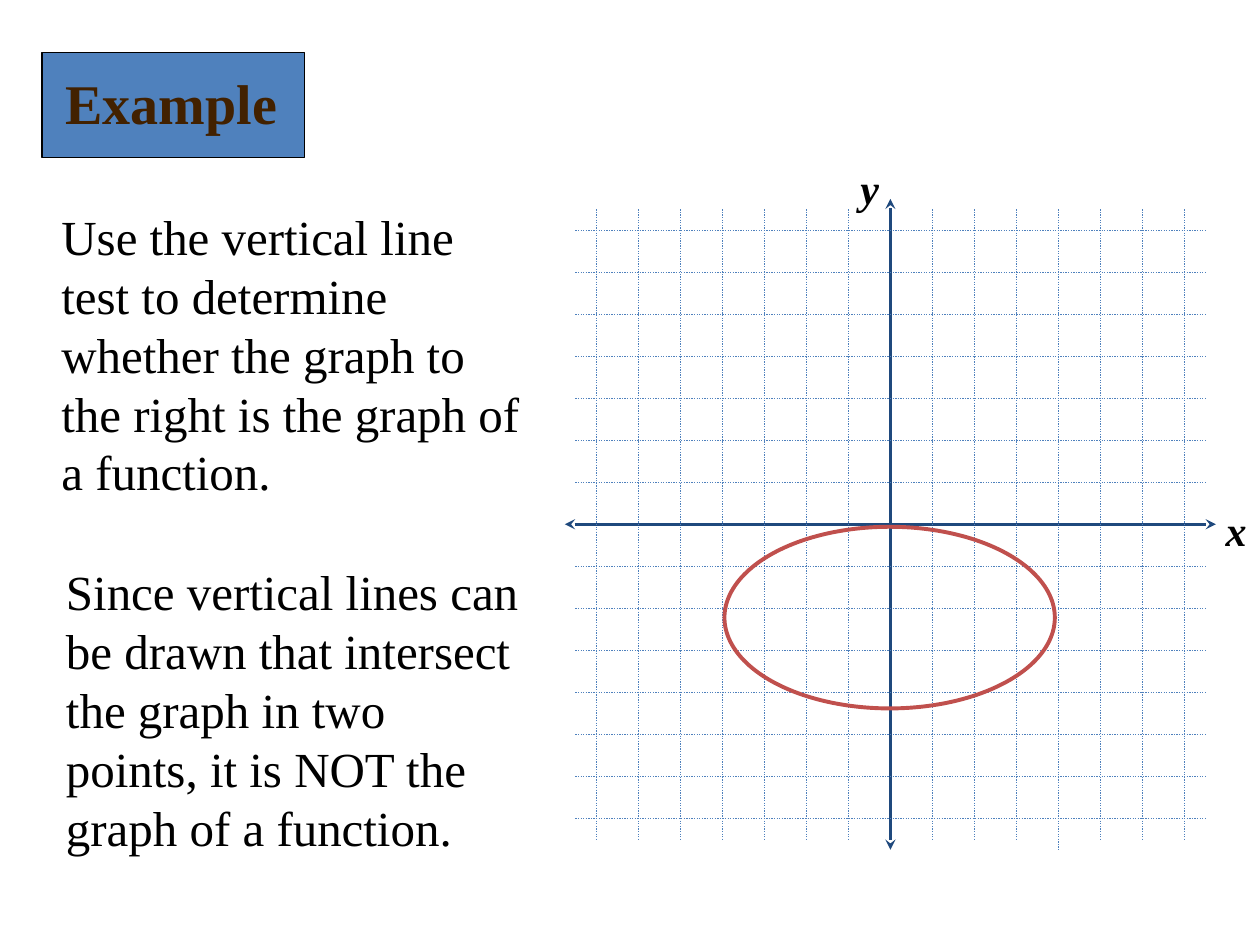
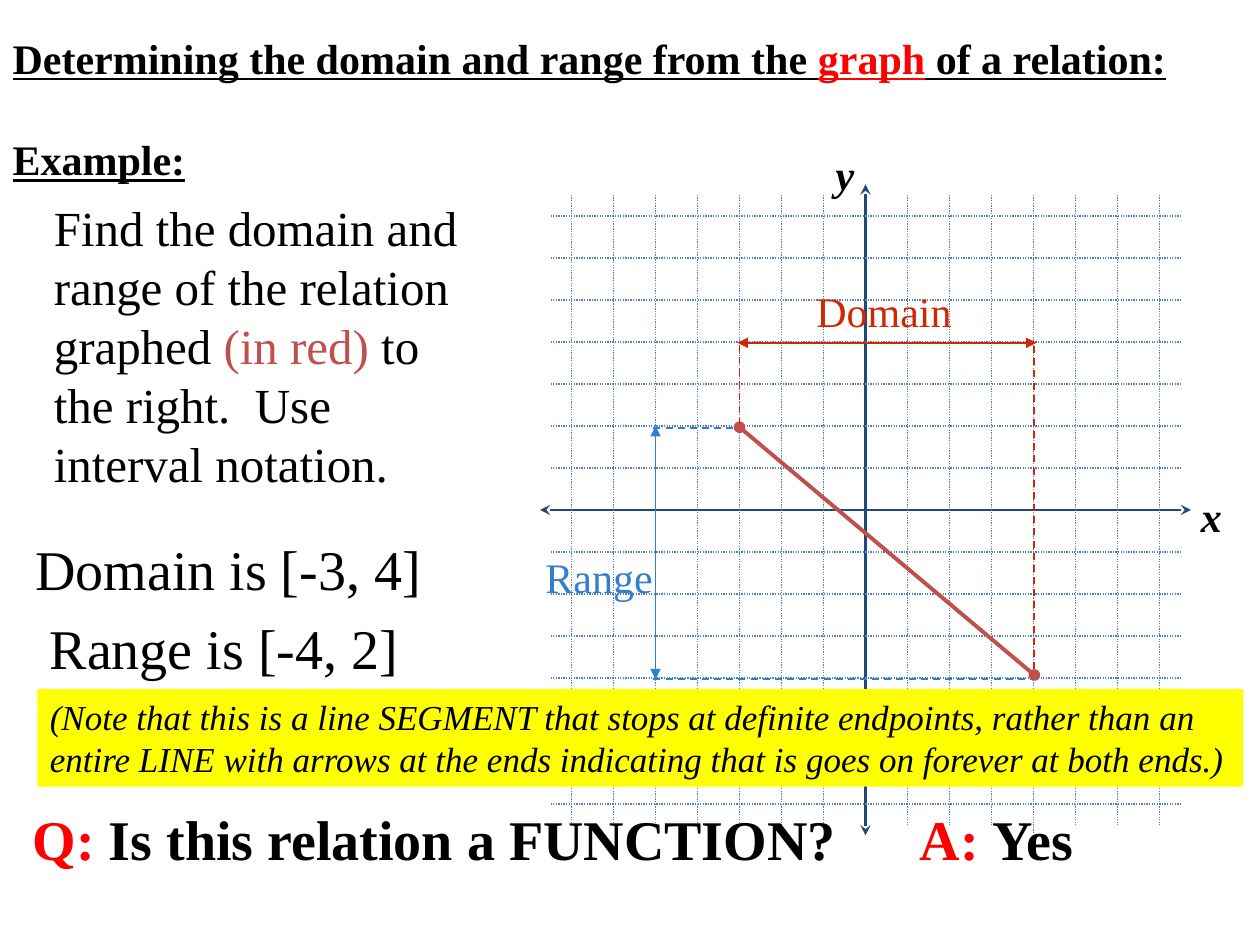
import pptx
import pptx.util
import pptx.dml.color
import pptx.enum.dml
import pptx.enum.shapes
import pptx.enum.text
import pptx.oxml.xmlchemy

COLORS = {
    "black": "000000",
    "brown": "422100",
    "grid": "4F81BD",
    "axis": "1F497D",
    "curve": "C0504D",
    "domain": "D02800",
    "range": "317FCD",
    "accent": "FF0000",
    "note": "FFFF00",
}
FONT = "Times New Roman"
UNIT = 24  # points per grid square
GRID_REACH = 7.5 * UNIT
AXIS_REACH = 7.75 * UNIT
DASH = pptx.enum.dml.MSO_LINE


def rgb(color):
    return pptx.dml.color.RGBColor.from_string(COLORS[color])


def points(values):
    return [pptx.util.Pt(value) for value in values]


class Deck:
    """Holds the presentation, its style and the slide being built."""

    def __init__(self):
        self.show = pptx.Presentation()
        self.show.slide_width, self.show.slide_height = points((720, 540))

    def new_slide(self):
        self.slide = self.show.slides.add_slide(self.show.slide_layouts[5])

    def set_text(self, frame, paragraphs, size, space_before=0, wrap=True,
                 margins=(7.2, 3.6), **style):
        """Fill a frame; each paragraph is a list of (text, color) runs."""
        left, top, right, bottom = points((*margins, 7.2, 3.6))
        settings = {
            "word_wrap": wrap,
            "auto_size": pptx.enum.text.MSO_AUTO_SIZE.NONE,
            "vertical_anchor": pptx.enum.text.MSO_ANCHOR.TOP,
            "margin_left": left, "margin_top": top,
            "margin_right": right, "margin_bottom": bottom,
        }
        for name, value in settings.items():
            setattr(frame, name, value)
        font = {"name": FONT, "size": pptx.util.Pt(size), "bold": False,
                **style}
        for index, runs in enumerate(paragraphs):
            paragraph = frame.add_paragraph() if index else frame.paragraphs[0]
            paragraph.alignment = pptx.enum.text.PP_ALIGN.LEFT
            paragraph.space_before = pptx.util.Pt(space_before if index else 0)
            for text, color in runs:
                run = paragraph.add_run()
                run.text = text
                for name, value in font.items():
                    setattr(run.font, name, value)
                run.font.color.rgb = rgb(color)

    def title(self, box, paragraphs, size, **style):
        heading = self.slide.shapes.title
        for name, value in zip(("left", "top", "width", "height"), points(box)):
            setattr(heading, name, value)
        self.set_text(heading.text_frame, paragraphs, size, bold=True, **style)
        return heading

    def text(self, box, runs, size, **style):
        if isinstance(runs, str):
            runs = [(runs, "black")]
        label = self.slide.shapes.add_textbox(*points(box))
        self.set_text(label.text_frame, [runs], size, **style)

    def shape(self, kind, box, fill=None, line=None, width=0.75):
        figure = self.slide.shapes.add_shape(kind, *points(box))
        figure.shadow.inherit = False
        self.paint(figure, fill, line, width)
        return figure

    def paint(self, figure, fill, line, width=0.75):
        for part, color in ((figure.fill, fill), (figure.line.fill, line)):
            if color:
                part.solid()
                part.fore_color.rgb = rgb(color)
            else:
                part.background()
        if line:
            figure.line.width = pptx.util.Pt(width)

    def line(self, start, end, color, width=0.75, dash=None, ends=None):
        stroke = self.slide.shapes.add_connector(
            pptx.enum.shapes.MSO_CONNECTOR.STRAIGHT, *points((*start, *end)))
        stroke.line.color.rgb = rgb(color)
        stroke.line.width = pptx.util.Pt(width)
        if dash:
            stroke.line.dash_style = dash
        properties = stroke._element.spPr
        if ends:
            for tag in ("a:headEnd", "a:tailEnd"):
                tip = pptx.oxml.xmlchemy.OxmlElement(tag)
                tip.set("type", ends)
                properties.get_or_add_ln().append(tip)
        properties.append(pptx.oxml.xmlchemy.OxmlElement("a:effectLst"))

    def point(self, x, y):
        """Turn graph coordinates into slide points."""
        return self.origin[0] + x * UNIT, self.origin[1] - y * UNIT

    def plot(self, start, end, color, **style):
        self.line(self.point(*start), self.point(*end), color, **style)

    def graph(self, origin, skipped_rows=()):
        """Draw the axes, the dotted grid and the axis names."""
        self.origin = x, y = origin
        axis = {"color": "axis", "width": 1.5, "ends": "stealth"}
        self.line((x, y - AXIS_REACH), (x, y + AXIS_REACH), **axis)
        self.line((x - AXIS_REACH, y), (x + AXIS_REACH, y), **axis)
        dots = {"color": "grid", "dash": DASH.ROUND_DOT}
        for step in range(-7, 8):
            if step == 0:
                continue
            column, row = self.point(step, step)
            if step not in skipped_rows:
                self.line((x - GRID_REACH, row), (x + GRID_REACH, row), **dots)
            bottom = AXIS_REACH if step == 4 else GRID_REACH
            self.line((column, y - GRID_REACH), (column, y + bottom), **dots)
        name = {"size": 24, "bold": True, "italic": True, "wrap": False}
        self.text((x + 184.5, y - 14.7, 26.6, 36), "x", **name)
        self.text((x - 24.2, y - 210, 25.2, 36), "y", **name)


def vertical_line_test(deck):
    deck.new_slide()
    heading = deck.title((24, 30, 150, 60), [[("Example", "brown")]], 32,
                         margins=(13.5, 9.4))
    deck.paint(heading, "grid", "black")
    deck.text((28, 114.5, 280, 176),
              "Use the vertical line test to determine whether the graph to "
              "the right is the graph of a function.", 28)
    deck.text((30.6, 317.5, 273, 209),
              "Since vertical lines can be drawn that intersect the graph in "
              "two points, it is NOT the graph of a function.", 28)
    deck.graph((508.8, 299.6))
    deck.shape(pptx.enum.shapes.MSO_SHAPE.OVAL,
               (*deck.point(-3.95, -0.06), 188.8, 103.8),
               line="curve", width=2.25)


def domain_and_range(deck):
    deck.new_slide()
    deck.title((0, 15, 720, 94.5), [
        [("Determining the domain and range from the ", "black"),
         ("graph", "accent"), (" of a relation:", "black")],
        [("Example:", "black")],
    ], 24, space_before=29, underline=True)
    deck.text((23.7, 109.5, 255, 177), [
        ("Find the domain and range of the relation graphed ", "black"),
        ("(in red)", "curve"),
        (" to the right.  Use interval notation.", "black")], 28)
    deck.graph((494.6, 291.4), skipped_rows=(-5, -6))
    deck.plot((-3, 1.97), (4.02, -3.93), "curve", width=2.25, ends="oval")

    deck.text((13, 301.7, 265.7, 45.4), "Domain is [-3, 4]", 32)
    domain_dash = {"color": "domain", "width": 1, "dash": DASH.DASH}
    deck.plot((4.02, 3.9), (4.02, -3.85), **domain_dash)
    deck.plot((-3, 3.93), (-3, 2), **domain_dash)
    deck.plot((-3.05, 3.98), (4.07, 3.98), "domain", width=1, ends="triangle")
    deck.text((459.4, 159.8, 94.3, 36), [("Domain", "domain")], 24)

    deck.text((21.4, 347, 249, 45.4), "Range is [-4, 2]", 32)
    range_dash = {"color": "range", "width": 1, "dash": DASH.DASH}
    deck.plot((-5.05, -4.03), (3.93, -4.03), **range_dash)
    deck.plot((-5.05, 1.95), (-3.1, 1.95), **range_dash)
    deck.plot((-5, 2), (-5, -4.03), "range", ends="triangle")
    deck.text((304.6, 311.8, 85, 36), [("Range", "range")], 24)

    note = deck.shape(pptx.enum.shapes.MSO_SHAPE.RECTANGLE,
                      (21.4, 393.8, 689, 55.7), fill="note")
    deck.set_text(note.text_frame, [[(
        "(Note that this is a line SEGMENT that stops at definite endpoints, "
        "rather than an entire LINE with arrows at the ends indicating that "
        "is goes on forever at both ends.)", "black")]], 20, italic=True)
    closing = {"size": 32, "bold": True, "wrap": False}
    deck.text((11.5, 456.2, 478, 46), [
        ("Q: ", "accent"), ("Is this relation a FUNCTION?", "black")],
        **closing)
    deck.text((518.4, 456.2, 102.2, 46), [
        ("A: ", "accent"), ("Yes", "black")], **closing)


def main():
    deck = Deck()
    vertical_line_test(deck)
    domain_and_range(deck)
    deck.show.save("out.pptx")


if __name__ == "__main__":
    main()
